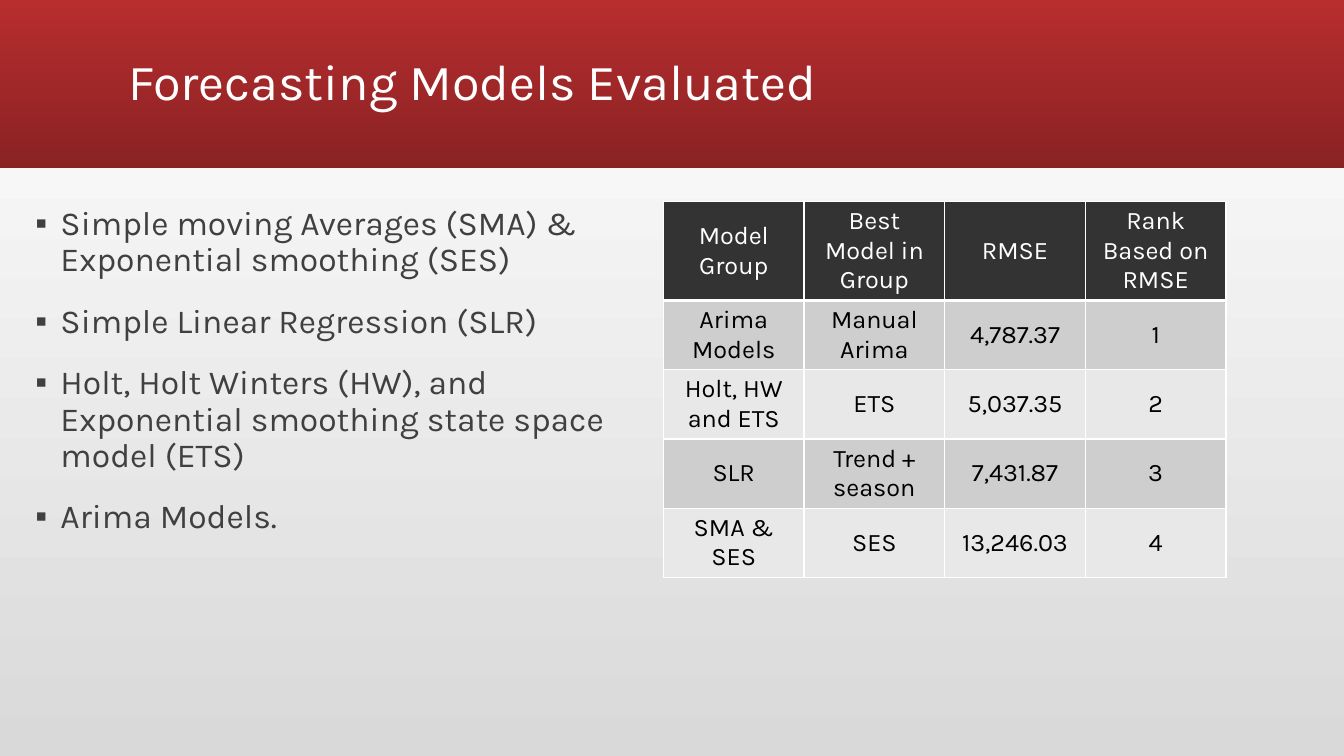
import pptx
import pptx.util
import pptx.dml.color
import pptx.enum.shapes
import pptx.enum.text
import pptx.oxml.ns
import lxml.etree

Inches = pptx.util.Inches
Pt = pptx.util.Pt
align = pptx.enum.text.PP_ALIGN
anchor = pptx.enum.text.MSO_ANCHOR
qn = pptx.oxml.ns.qn

TITLE = "Forecasting Models Evaluated"
MODELS = [
    "Simple moving Averages (SMA) & Exponential smoothing (SES)",
    "Simple Linear Regression (SLR)",
    "Holt, Holt Winters (HW), and Exponential smoothing state space model (ETS)",
    "Arima Models.",
]
SCORES = [
    ("Model Group", "Best Model in Group", "RMSE", "Rank Based on RMSE"),
    ("Arima Models", "Manual Arima", "4,787.37", "1"),
    ("Holt, HW and ETS", "ETS", "5,037.35", "2"),
    ("SLR", "Trend + season", "7,431.87", "3"),
    ("SMA & SES", "SES", "13,246.03", "4"),
]


class Theme:
    font = "Karla"
    title_size, body_size, cell_size = 36, 24, 18
    white, black, gray = "FFFFFF", "000000", "404040"
    page = ("D9D9D9", "FFFFFF")
    band = ("B82D2F", "8A2223")
    head = "333333"
    rows = ("CECECE", "E8E8E8")


def rgb(code):
    return pptx.dml.color.RGBColor.from_string(code)


def place(shape, left, top, width, height):
    shape.left, shape.top = Inches(left), Inches(top)
    shape.width, shape.height = Inches(width), Inches(height)


def blend(fill, colors, angle):
    """Fill with a linear gradient; the angle runs counterclockwise."""
    fill.gradient()
    fill.gradient_angle = angle
    for stop, color in zip(fill.gradient_stops, colors):
        stop.color.rgb = rgb(color)


def write(para, text, size, color, side=align.LEFT, line=None, before=None):
    para.alignment = side
    if line is not None:
        para.line_spacing = line
    if before is not None:
        para.space_before = Pt(before)
    run = para.add_run()
    run.text = text
    run.font.name = Theme.font
    run.font.size = Pt(size)
    run.font.bold = False
    run.font.color.rgb = rgb(color)


def mark(para, char, indent):
    """Give the paragraph a bullet with a hanging indent."""
    props = para._p.get_or_add_pPr()
    props.set("marL", str(Inches(indent)))
    props.set("indent", str(-Inches(indent)))
    lxml.etree.SubElement(props, qn("a:buChar"), char=char)


def border(cell, color, **widths):
    """Draw cell sides, named L, R, T and B, at widths in points."""
    props = cell._tc.get_or_add_tcPr()
    for side, width in widths.items():
        line = lxml.etree.SubElement(props, qn("a:ln" + side), w=str(Pt(width)))
        fill = lxml.etree.SubElement(line, qn("a:solidFill"))
        lxml.etree.SubElement(fill, qn("a:srgbClr"), val=color)


def add_band(slide):
    band = slide.shapes.add_shape(
        pptx.enum.shapes.MSO_SHAPE.RECTANGLE, 0, 0, Inches(13.33), Inches(1.67))
    band.shadow.inherit = False
    band.line.fill.background()
    blend(band.fill, Theme.band, 270)
    slide.shapes._spTree.insert(2, band._element)


def add_title(slide):
    title = slide.shapes.title
    place(title, 1.17, 0.11, 11, 1.45)
    frame = title.text_frame
    frame.auto_size = pptx.enum.text.MSO_AUTO_SIZE.NONE
    frame.vertical_anchor = anchor.MIDDLE
    write(frame.paragraphs[0], TITLE, Theme.title_size, Theme.white, line=0.9)


def add_list(slide):
    body = slide.placeholders[1]
    place(body, 0.25, 2, 6.17, 5)
    frame = body.text_frame
    frame.auto_size = pptx.enum.text.MSO_AUTO_SIZE.NONE
    for i, model in enumerate(MODELS):
        para = frame.add_paragraph() if i else frame.paragraphs[0]
        write(para, model, Theme.body_size, Theme.gray, line=0.9, before=18)
        mark(para, "▪", 0.25)


def add_scores(slide):
    width, height = 5.58, 0.63
    rows, cols = len(SCORES), len(SCORES[0])
    table = slide.shapes.add_table(
        rows, cols, Inches(6.58), Inches(2),
        Inches(width), Inches(height * rows)).table
    for col in table.columns:
        col.width = Inches(width / cols)
    for r, row in enumerate(SCORES):
        table.rows[r].height = Inches(height)
        back = Theme.rows[(r - 1) % 2] if r else Theme.head
        color = Theme.black if r else Theme.white
        for c, text in enumerate(row):
            cell = table.cell(r, c)
            cell.vertical_anchor = anchor.MIDDLE
            border(cell, Theme.white, L=1, R=1,
                   T=3 if r == 1 else 1, B=1 if r else 3)
            cell.fill.solid()
            cell.fill.fore_color.rgb = rgb(back)
            write(cell.text_frame.paragraphs[0], text, Theme.cell_size, color,
                  side=align.CENTER)


def main():
    deck = pptx.Presentation()
    deck.slide_width, deck.slide_height = Inches(13.33), Inches(7.5)
    slide = deck.slides.add_slide(deck.slide_layouts[1])
    blend(slide.background.fill, Theme.page, 90)
    add_band(slide)
    add_title(slide)
    add_list(slide)
    add_scores(slide)
    deck.save("out.pptx")


if __name__ == "__main__":
    main()
